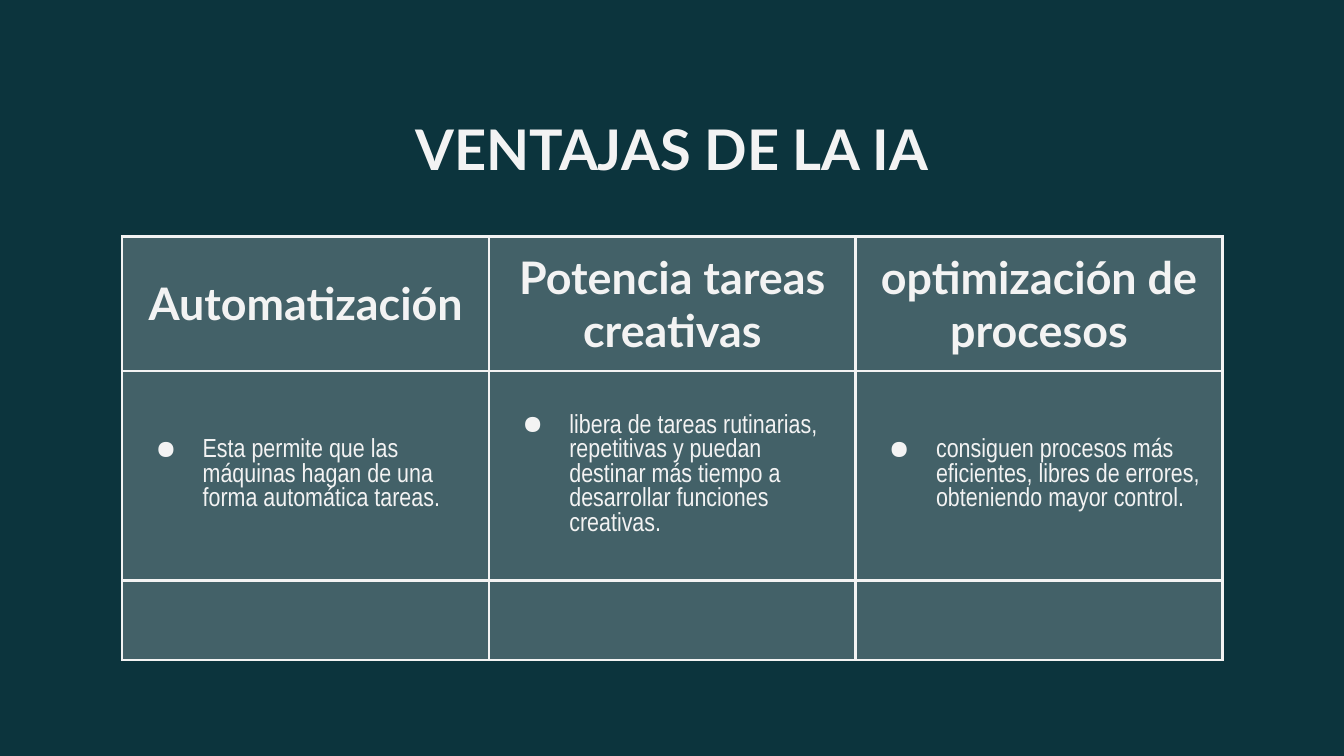
from lxml import etree
from pptx import Presentation
from pptx import util as u
from pptx.dml.color import RGBColor
from pptx.enum import text
from pptx.oxml.ns import qn

COLUMNS = [
    ("Automatización",
     "Esta permite que las máquinas hagan de una forma automática tareas."),
    ("Potencia tareas creativas",
     "libera de tareas rutinarias, repetitivas y puedan destinar más tiempo "
     "a desarrollar funciones creativas."),
    ("optimización de procesos",
     "consiguen procesos más eficientes, libres de errores, obteniendo mayor control."),
]
ROW_HEIGHTS = [2.54, 3.96, 1.5]
COLUMN_WIDTH = 6.93


def color(value):
    return RGBColor.from_string(value)


def add_element(parent, tag, **attributes):
    return etree.SubElement(parent, qn(tag), {k: str(v) for k, v in attributes.items()})


class SlideBuilder:
    background = "0C343D"
    light = "F3F3F3"
    heading_font = "Lato"
    body_font = "Arial Narrow"
    inset = u.Cm(0.25)

    def __init__(self, presentation):
        self.slide = presentation.slides.add_slide(presentation.slide_layouts[6])
        fill = self.slide.background.fill
        fill.solid()
        fill.fore_color.rgb = color(self.background)

    def run(self, paragraph, words, size, font, bold=False):
        run = paragraph.add_run()
        run.text = words
        run.font.size = u.Pt(size)
        run.font.name = font
        run.font.bold = bold
        run.font.color.rgb = color(self.light)

    def heading(self, paragraph, words, size):
        paragraph.alignment = text.PP_ALIGN.CENTER
        self.run(paragraph, words, size, self.heading_font, bold=True)

    def bullet(self, paragraph, words):
        properties = paragraph._p.get_or_add_pPr()
        properties.set("marL", str(u.Cm(1.27)))
        properties.set("indent", str(u.Cm(-0.89)))
        bullet_color = add_element(properties, "a:buClr")
        add_element(bullet_color, "a:srgbClr", val=self.light)
        add_element(properties, "a:buChar", char="●")
        self.run(paragraph, words, 14, self.body_font)

    def set_margins(self, target):
        target.margin_left = target.margin_right = self.inset
        target.margin_top = target.margin_bottom = self.inset

    def title(self, words, left, top, width, height):
        shape = self.slide.shapes.add_textbox(
            u.Cm(left), u.Cm(top), u.Cm(width), u.Cm(height))
        frame = shape.text_frame
        frame.word_wrap = True
        self.set_margins(frame)
        self.heading(frame.paragraphs[0], words, 30)

    def style_cell(self, cell):
        """Give the cell a translucent fill and a border on all four sides."""
        self.set_margins(cell)
        cell.vertical_anchor = text.MSO_ANCHOR.MIDDLE
        properties = cell._tc.get_or_add_tcPr()
        for side in ("a:lnL", "a:lnR", "a:lnT", "a:lnB"):
            line = add_element(properties, side, w=u.Pt(1.5))
            add_element(add_element(line, "a:solidFill"), "a:srgbClr", val=self.light)
        fill = add_element(properties, "a:solidFill")
        fill_color = add_element(fill, "a:srgbClr", val=self.light)
        add_element(fill_color, "a:alpha", val=24000)

    def table(self, columns, left, top):
        table = self.slide.shapes.add_table(
            len(ROW_HEIGHTS), len(columns), u.Cm(left), u.Cm(top),
            u.Cm(COLUMN_WIDTH * len(columns)), u.Cm(sum(ROW_HEIGHTS))).table
        table.first_row = table.horz_banding = False
        for row, height in zip(table.rows, ROW_HEIGHTS):
            row.height = u.Cm(height)
        for column in table.columns:
            column.width = u.Cm(COLUMN_WIDTH)
        for cell in table.iter_cells():
            self.style_cell(cell)
        for index, (heading, advantage) in enumerate(columns):
            self.heading(table.cell(0, index).text_frame.paragraphs[0], heading, 24)
            self.bullet(table.cell(1, index).text_frame.paragraphs[0], advantage)


def main():
    presentation = Presentation()
    presentation.slide_width = u.Cm(25.4)
    presentation.slide_height = u.Cm(14.29)
    builder = SlideBuilder(presentation)
    builder.title("VENTAJAS DE LA IA", 2, 1.91, 21.4, 1.6)
    builder.table(COLUMNS, 2.31, 4.47)
    presentation.save("out.pptx")


if __name__ == "__main__":
    main()
